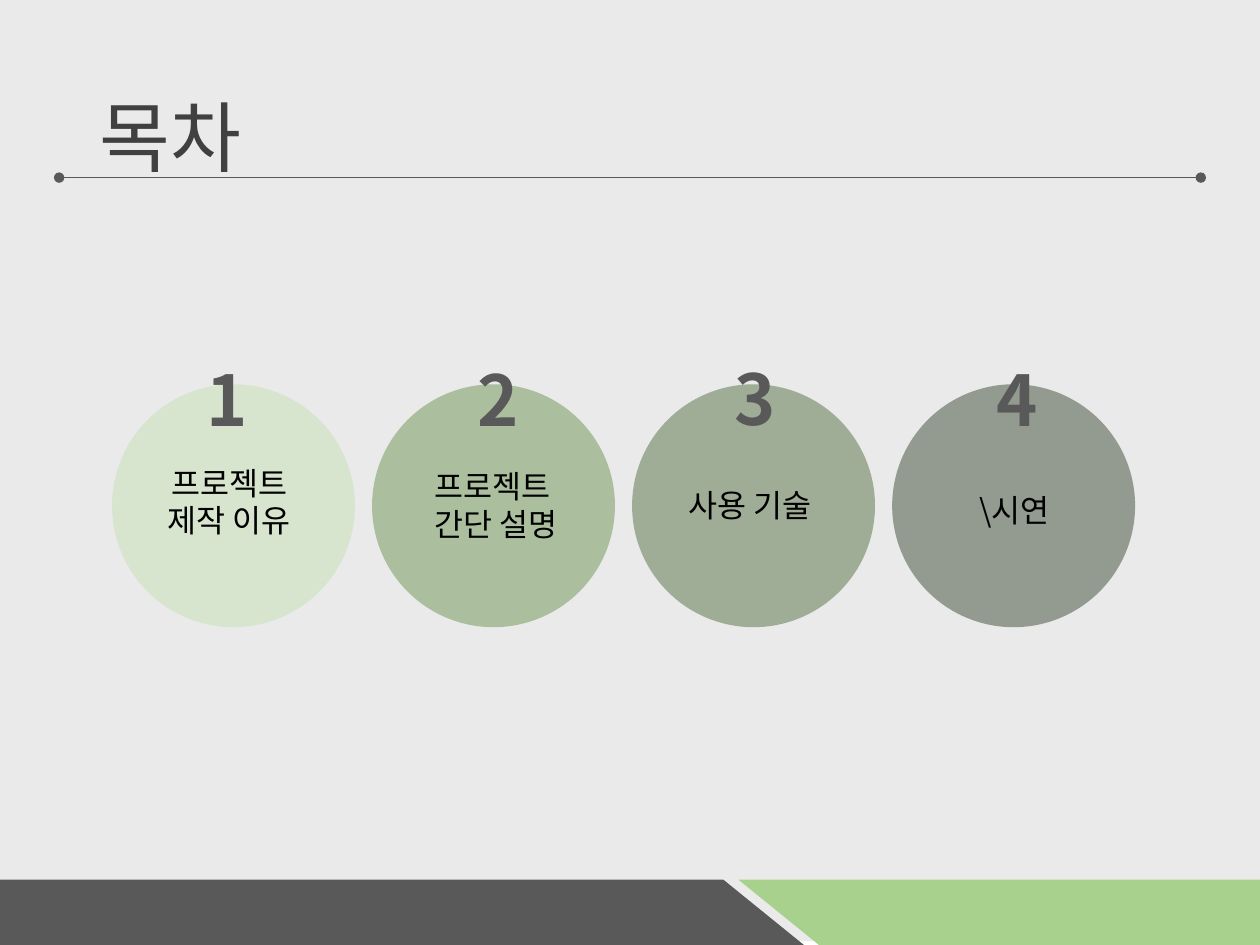
"""Build a contents slide with four numbered circles."""
from lxml.etree import SubElement
from pptx import Presentation
from pptx.dml.color import RGBColor
from pptx.enum.shapes import MSO_CONNECTOR, MSO_SHAPE
from pptx.enum.text import MSO_ANCHOR, PP_ALIGN
from pptx.oxml.ns import qn
from pptx.util import Pt

FONT = "Noto Sans CJK KR"
PAPER = RGBColor(0xEA, 0xEA, 0xEA)
INK = RGBColor(0x40, 0x40, 0x40)
GRAY = RGBColor(0x59, 0x59, 0x59)
BLACK = RGBColor(0, 0, 0)
GREEN = RGBColor(0xA9, 0xD1, 0x8E)
MINT = RGBColor(0xC5, 0xE0, 0xB4)
LEAF = RGBColor(0x54, 0x82, 0x35)
MOSS = RGBColor(0x38, 0x57, 0x23)
PINE = RGBColor(0x1D, 0x2C, 0x12)

TITLE = "목차"
# label, fill, opacity, number (left, top), label (left, top, width, height)
ITEMS = [
    (["프로젝트", "제작 이유"], MINT, 51, (110.9, 200.2), (68.4, 261.4, 125.3, 51)),
    (["프로젝트 ", "간단 설명"], LEAF, 42, (265.7, 200.2), (210.2, 263.5, 146.9, 51)),
    (["사용 기술"], MOSS, 42, (412.6, 199.4), (355, 274.3, 146.9, 29)),
    (["\\시연"], PINE, 42, (562.3, 200.2), (506.2, 277.2, 146.9, 29)),
]
BANDS = [
    (GRAY, [(-5.8, 502.6), (413.3, 502.6), (459.4, 540), (-5, 540)]),
    (GREEN, [(887, 540), (468, 540), (421.9, 502.6), (886.3, 502.6)]),
]
LEFT, TOP, STEP, SIZE = 64, 219.6, 148.6, 138.8


def write(frame, lines, size, color, bold=False, align=PP_ALIGN.LEFT, space=1.0):
    frame.word_wrap = True
    for i, line in enumerate(lines):
        para = frame.paragraphs[0] if i == 0 else frame.add_paragraph()
        para.alignment, para.line_spacing = align, space
        run = para.add_run()
        run.text = line
        font = run.font
        font.name, font.size, font.bold = FONT, Pt(size), bold
        font.color.rgb = color
        SubElement(font._element, qn("a:ea")).set("typeface", FONT)


def paint(shape, color, alpha=100):
    shape.shadow.inherit = False
    shape.fill.solid()
    shape.fill.fore_color.rgb = color
    shape.line.fill.background()
    if alpha < 100:
        tint = shape._element.spPr.find(qn("a:solidFill"))[0]
        SubElement(tint, qn("a:alpha")).set("val", str(alpha * 1000))


def place(shape, *box):
    shape.left, shape.top, shape.width, shape.height = map(Pt, box)


def add_rule(shapes):
    rule = shapes.add_connector(
        MSO_CONNECTOR.STRAIGHT, Pt(33.8), Pt(101.5), Pt(686.2), Pt(101.5))
    rule.line.color.rgb = GRAY
    rule.line.width = Pt(0.5)
    for end in ("a:headEnd", "a:tailEnd"):
        SubElement(rule.line._get_or_add_ln(), qn(end)).set("type", "oval")
    SubElement(rule._element.spPr, qn("a:effectLst"))


def add_item(shapes, index, item):
    lines, color, alpha, spot, box = item
    group = shapes.add_group_shape().shapes
    disc = group.add_shape(
        MSO_SHAPE.OVAL, Pt(LEFT + index * STEP), Pt(TOP), Pt(SIZE), Pt(SIZE))
    paint(disc, color, alpha)
    digit = group.add_textbox(*map(Pt, (*spot, 45.4, 55.4)))
    write(digit.text_frame, [str(index + 1)], 40, GRAY, bold=True)
    label = group.add_textbox(*map(Pt, box))
    write(label.text_frame, lines, 18, BLACK, align=PP_ALIGN.CENTER)


def main():
    deck = Presentation()
    deck.slide_width, deck.slide_height = Pt(720), Pt(540)
    slide = deck.slides.add_slide(deck.slide_layouts[5])
    shapes = slide.shapes
    title = shapes.title
    back = shapes.add_shape(MSO_SHAPE.RECTANGLE, 0, Pt(-2.2), Pt(720), Pt(540))
    paint(back, PAPER)
    title._element.addprevious(back._element)
    place(title, 49.7, 28.8, 620.6, 104.4)
    title.text_frame.vertical_anchor = MSO_ANCHOR.MIDDLE
    write(title.text_frame, [TITLE], 44, INK, space=0.9)
    for color, dots in BANDS:
        pen = shapes.build_freeform(Pt(dots[0][0]), Pt(dots[0][1]))
        pen.add_line_segments([(Pt(x), Pt(y)) for x, y in dots[1:]], close=True)
        paint(pen.convert_to_shape(), color)
    add_rule(shapes)
    for index, item in enumerate(ITEMS):
        add_item(shapes, index, item)
    deck.save("out.pptx")


if __name__ == "__main__":
    main()
